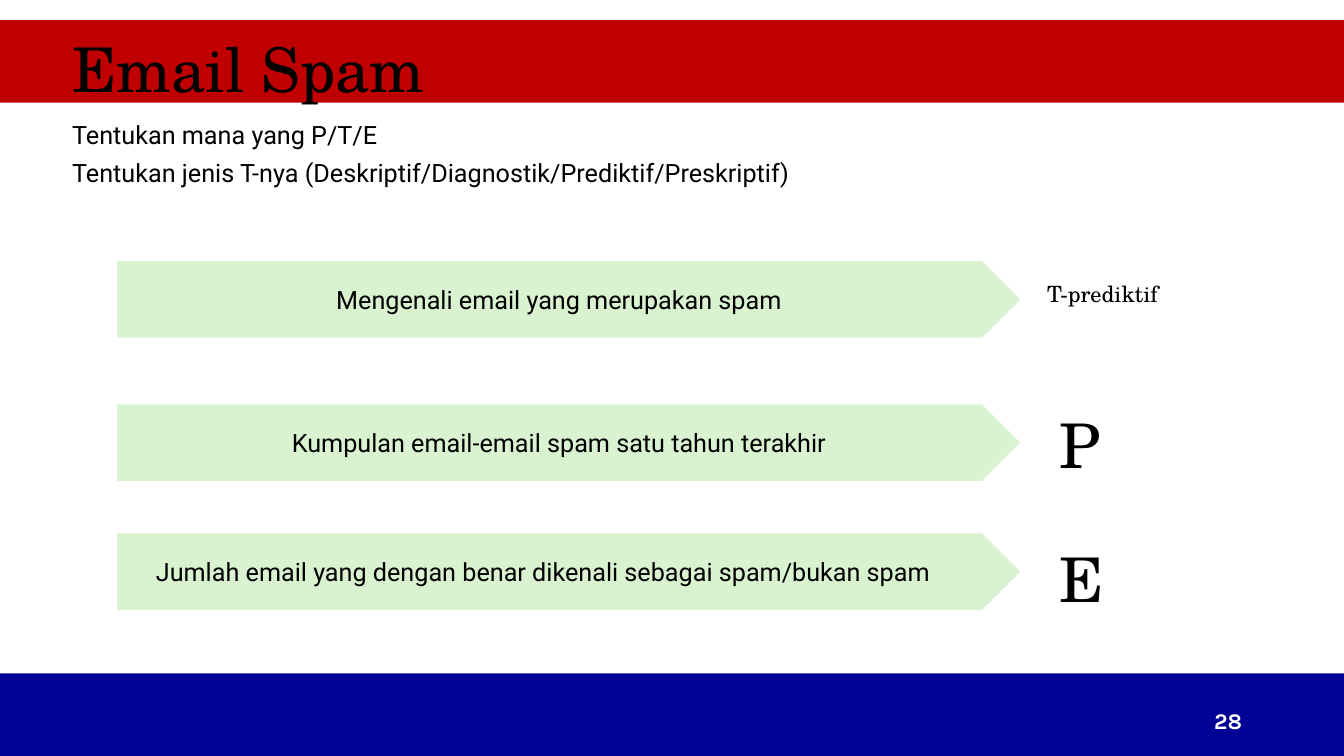
from pptx import Presentation
from pptx.dml.color import RGBColor
from pptx.enum import shapes, text
from pptx.util import Cm, Pt

COLORS = {"navy": "020294", "red": "C00000", "mint": "D9F2D0",
          "black": "000000", "white": "FFFFFF"}
SERIF, SANS = "TeX Gyre Schola", "Roboto"
KIND, ALIGN, ANCHOR = shapes.MSO_SHAPE, text.PP_ALIGN, text.MSO_ANCHOR

deck = Presentation()
deck.slide_width, deck.slide_height = Cm(33.87), Cm(19.05)
slide = deck.slides.add_slide(deck.slide_layouts[6])


def add_block(kind, box, color):
    block = slide.shapes.add_shape(kind, *map(Cm, box))
    block.shadow.inherit = False
    block.fill.solid()
    block.fill.fore_color.rgb = RGBColor.from_string(COLORS[color])
    block.line.fill.background()
    return block


def write(shape, words, size, face, color="black", align=ALIGN.LEFT,
          anchor=ANCHOR.MIDDLE, spacing=1.0):
    """Fill a shape with one styled paragraph and return it."""
    frame = shape.text_frame
    frame.word_wrap = True
    frame.vertical_anchor = anchor
    para = frame.paragraphs[0]
    para.text = words
    para.alignment = align
    para.line_spacing = spacing
    para.font.size, para.font.name = Pt(size), face
    para.font.color.rgb = RGBColor.from_string(COLORS[color])
    return para


# Bands
for top, color in ((16.97, "navy"), (0.51, "red")):
    add_block(KIND.RECTANGLE, (0, top, 33.87, 2.08), color)

# Page number and title
page = slide.shapes.add_textbox(Cm(23.93), Cm(17.65), Cm(7.62), Cm(1.02))
write(page, "28", 16, "Karla", "white", ALIGN.RIGHT).font.bold = True
title = slide.shapes.add_textbox(Cm(1.57), Cm(0), Cm(29.21), Cm(3.68))
write(title, "Email Spam", 44, SERIF, spacing=0.9)

# Tasks
tasks = (
    (2.87, 13.94, "Tentukan mana yang P/T/E"),
    (3.84, 19, "Tentukan jenis T-nya (Deskriptif/Diagnostik/Prediktif/Preskriptif)"),
)
for top, width, words in tasks:
    task = slide.shapes.add_textbox(Cm(1.57), Cm(top), Cm(width), Cm(1.02))
    write(task, words, 18, SANS, anchor=ANCHOR.TOP)

# Statements with their answers: arrow top, words, answer, its left, top, size
rows = (
    (6.58, "Mengenali email yang merupakan spam",
     "T-prediktif", 26.14, 5.61, 16),
    (10.19, "Kumpulan email-email spam satu tahun terakhir",
     "P", 26.44, 9.47, 44),
    (13.44, "Jumlah email yang dengan benar dikenali sebagai spam/bukan spam\t",
     "E", 26.44, 12.83, 44),
)
for top, words, answer, left, height, size in rows:
    arrow = add_block(KIND.PENTAGON, (2.95, top, 22.76, 1.93), "mint")
    write(arrow, words, 18, SANS, align=ALIGN.CENTER)
    label = slide.shapes.add_textbox(Cm(left), Cm(height), Cm(6.4), Cm(3.68))
    write(label, answer, size, SERIF, spacing=0.9)

deck.save("out.pptx")
